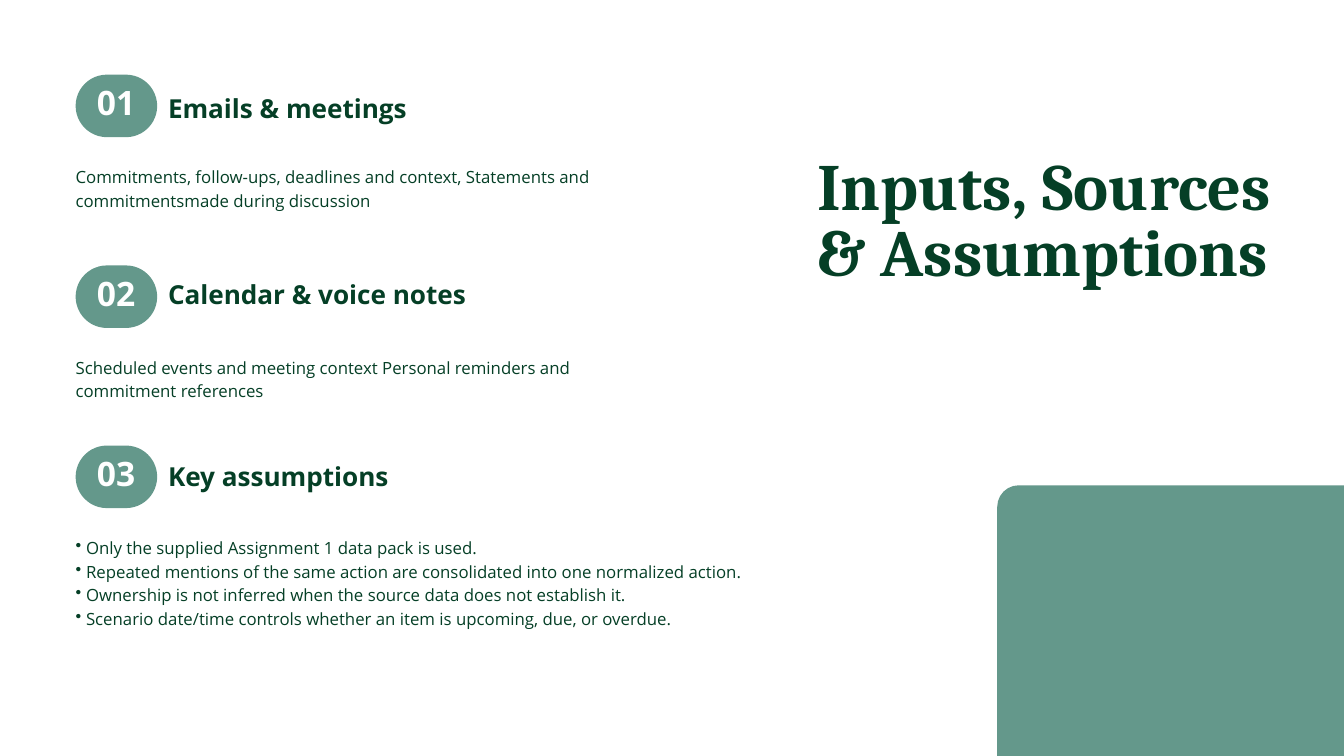
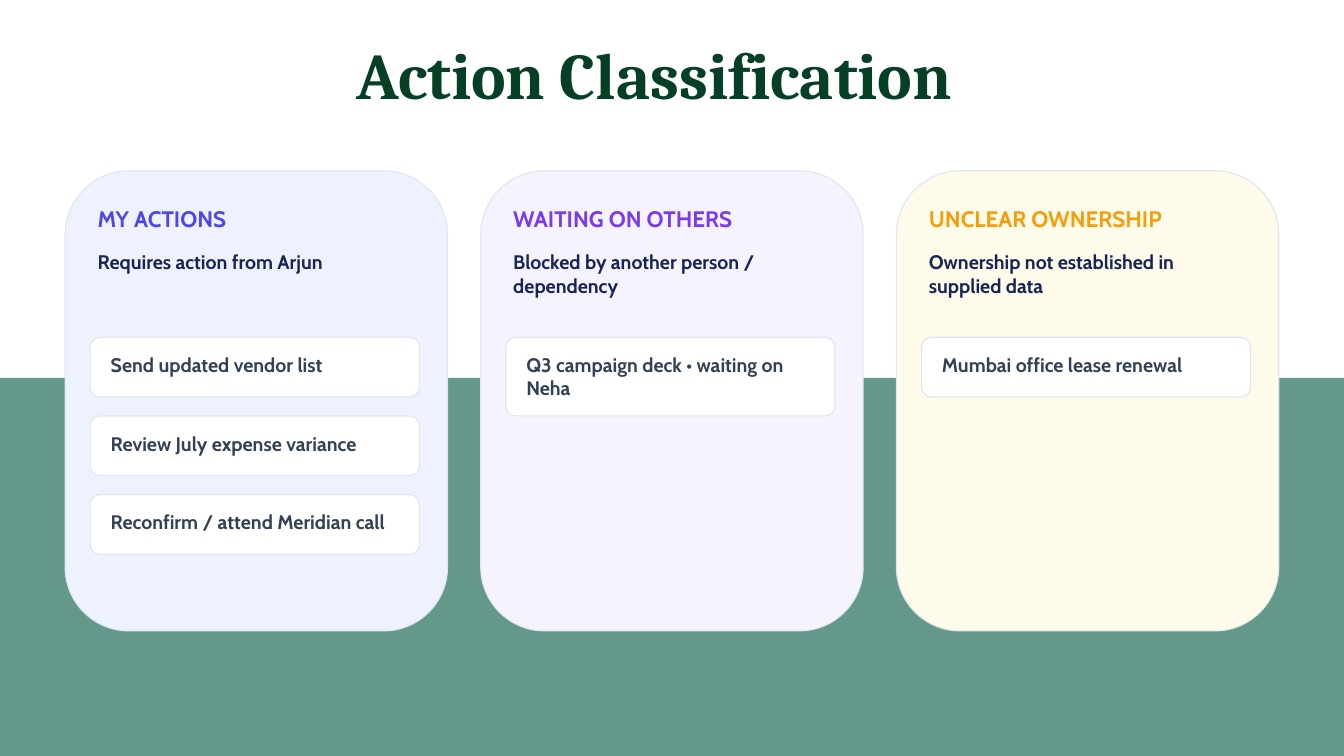
from lxml.etree import SubElement
from pptx import Presentation
from pptx.dml.color import RGBColor
from pptx.enum.shapes import MSO_SHAPE as Preset
from pptx.enum.text import PP_ALIGN as Align
from pptx.oxml.ns import qn
from pptx.util import Pt

WIDTH, HEIGHT = 1440, 810

WHITE = RGBColor(0xFF, 0xFF, 0xFF)
SAGE = RGBColor(0x64, 0x98, 0x8B)
FOREST = RGBColor(0x05, 0x3F, 0x26)
OUTLINE = RGBColor(0xE1, 0xE5, 0xEE)
NAVY = RGBColor(0x17, 0x25, 0x54)
SLATE = RGBColor(0x33, 0x41, 0x55)
INDIGO = RGBColor(0x4F, 0x46, 0xE5)
PALE_INDIGO = RGBColor(0xEE, 0xF2, 0xFF)
VIOLET = RGBColor(0x7C, 0x3A, 0xED)
PALE_VIOLET = RGBColor(0xF5, 0xF3, 0xFF)
AMBER = RGBColor(0xF5, 0x9E, 0x0B)
PALE_AMBER = RGBColor(0xFF, 0xFB, 0xEB)

SERIF, SANS, CARD_FONT = "Cambria", "Open Sans", "Cabin"

# Badge top, heading top, heading, body lines
SOURCES = [
    (80, 104.4, "Emails & meetings",
     ["Commitments, follow-ups, deadlines and context, Statements and "
      "commitmentsmade during discussion"]),
    (284.4, 303.8, "Calendar & voice notes",
     ["Scheduled events and meeting context Personal reminders and "
      "commitment references"]),
    (477.4, 499, "Key assumptions",
     ["Only the supplied Assignment 1 data pack is used.",
      "Repeated mentions of the same action are consolidated into one "
      "normalized action.",
      "Ownership is not inferred when the source data does not establish it.",
      "Scenario date/time controls whether an item is upcoming, due, or "
      "overdue."]),
]

# Heading, accent, fill, description, actions with their line counts
CATEGORIES = [
    ("MY ACTIONS", INDIGO, PALE_INDIGO, "Requires action from Arjun",
     [("Send updated vendor list", 1),
      ("Review July expense variance", 1),
      ("Reconfirm / attend Meridian call", 1)]),
    ("WAITING ON OTHERS", VIOLET, PALE_VIOLET,
     "Blocked by another person / dependency",
     [("Q3 campaign deck • waiting on Neha", 2)]),
    ("UNCLEAR OWNERSHIP", AMBER, PALE_AMBER,
     "Ownership not established in supplied data",
     [("Mumbai office lease renewal", 1)]),
]


def add_bullet(paragraph, indent):
    properties = paragraph._p.get_or_add_pPr()
    properties.set("marL", str(Pt(indent)))
    properties.set("indent", str(-Pt(indent)))
    SubElement(properties, qn("a:buChar")).set("char", "•")


class Deck:
    def __init__(self):
        self.file = Presentation()
        self.file.slide_width, self.file.slide_height = Pt(WIDTH), Pt(HEIGHT)
        self.slide = None

    def new_slide(self):
        self.slide = self.file.slides.add_slide(self.file.slide_layouts[6])
        self.slide.background.fill.solid()
        self.slide.background.fill.fore_color.rgb = WHITE

    def panel(self, left, top, width, height, fill, radius=0, outline=None):
        preset = Preset.ROUNDED_RECTANGLE if radius else Preset.RECTANGLE
        panel = self.slide.shapes.add_shape(
            preset, Pt(left), Pt(top), Pt(width), Pt(height))
        if radius:
            panel.adjustments[0] = radius / min(width, height)
        panel.shadow.inherit = False
        panel.fill.solid()
        panel.fill.fore_color.rgb = fill
        if outline is None:
            panel.line.fill.background()
        else:
            panel.line.color.rgb = outline
            panel.line.width = Pt(1.2)

    def text(self, lines, left, top, width, height, size, spacing,
             font=SANS, color=FOREST, bold=True, align=Align.LEFT,
             bullet_indent=0):
        """Write one paragraph per line; a plain string is a single line."""
        box = self.slide.shapes.add_textbox(
            Pt(left), Pt(top), Pt(width), Pt(height))
        frame = box.text_frame
        frame.word_wrap = True
        frame.margin_left = frame.margin_right = 0
        frame.margin_top = frame.margin_bottom = 0
        lines = [lines] if isinstance(lines, str) else lines
        for index, line in enumerate(lines):
            paragraph = frame.paragraphs[0] if index == 0 else frame.add_paragraph()
            paragraph.alignment = align
            paragraph.line_spacing = Pt(spacing)
            if bullet_indent:
                add_bullet(paragraph, bullet_indent)
            run = paragraph.add_run()
            run.text = line
            run.font.name = font
            run.font.size = Pt(size)
            run.font.bold = bold
            run.font.color.rgb = color

    def title(self, title, left, top, width, height, size, align=Align.LEFT):
        self.text(title, left, top, width, height, size, size,
                  font=SERIF, align=align)

    def card_text(self, text, left, top, width, height, color, size=21):
        self.text(text, left, top, width, height, size, size * 1.2,
                  font=CARD_FONT, color=color)

    def source(self, number, badge_top, heading_top, heading, body):
        left = 81
        self.panel(left, badge_top, 87.4, 67, SAGE, radius=33.5)
        self.text(f"{number:02}", 90, badge_top + 14.8, 69, 40, 36, 36,
                  color=WHITE, align=Align.CENTER)
        self.text(heading, 180, heading_top, 472, 29.5, 28, 28)
        is_list = len(body) > 1
        self.text(body, left, badge_top + 95.2, 750 if is_list else 590,
                  148 if is_list else 99, 18, 25.2, bold=False,
                  bullet_indent=11.2 if is_list else 0)

    def category(self, left, heading, accent, fill, description, actions):
        self.panel(left, 183, 409.7, 493, fill, radius=68.4, outline=OUTLINE)
        self.card_text(heading, left + 34.8, 219.6, 337, 28.8, accent, size=24)
        self.card_text(description, left + 34.8, 267.8, 331, 50.4, NAVY)
        for row, (action, line_count) in enumerate(actions):
            self.action(action, left + 26.8, 361.4 + row * 84.3, line_count)

    def action(self, action, left, top, line_count):
        text_height = 25.2 * line_count
        self.panel(left, top, 352.8, text_height + 38.8 - 5 * (line_count - 1),
                   WHITE, radius=10.8, outline=OUTLINE)
        self.card_text(action, left + 22, top + 16.6, 309.6, text_height, SLATE)


def build_inputs(deck):
    deck.new_slide()
    deck.panel(1068.5, 520, 401.5, 338, SAGE, radius=23)
    deck.title("Inputs, Sources & Assumptions", 875.5, 168.5, 521, 215, 70.8)
    for number, source in enumerate(SOURCES, 1):
        deck.source(number, *source)


def build_classification(deck):
    deck.new_slide()
    deck.panel(0, HEIGHT / 2, WIDTH, HEIGHT / 2, SAGE)
    deck.title("Action Classification", 270, 51, 862, 73, 70, Align.CENTER)
    for column, category in enumerate(CATEGORIES):
        deck.category(69.8 + column * 445.3, *category)


def main():
    deck = Deck()
    build_inputs(deck)
    build_classification(deck)
    deck.file.save("out.pptx")


if __name__ == "__main__":
    main()
